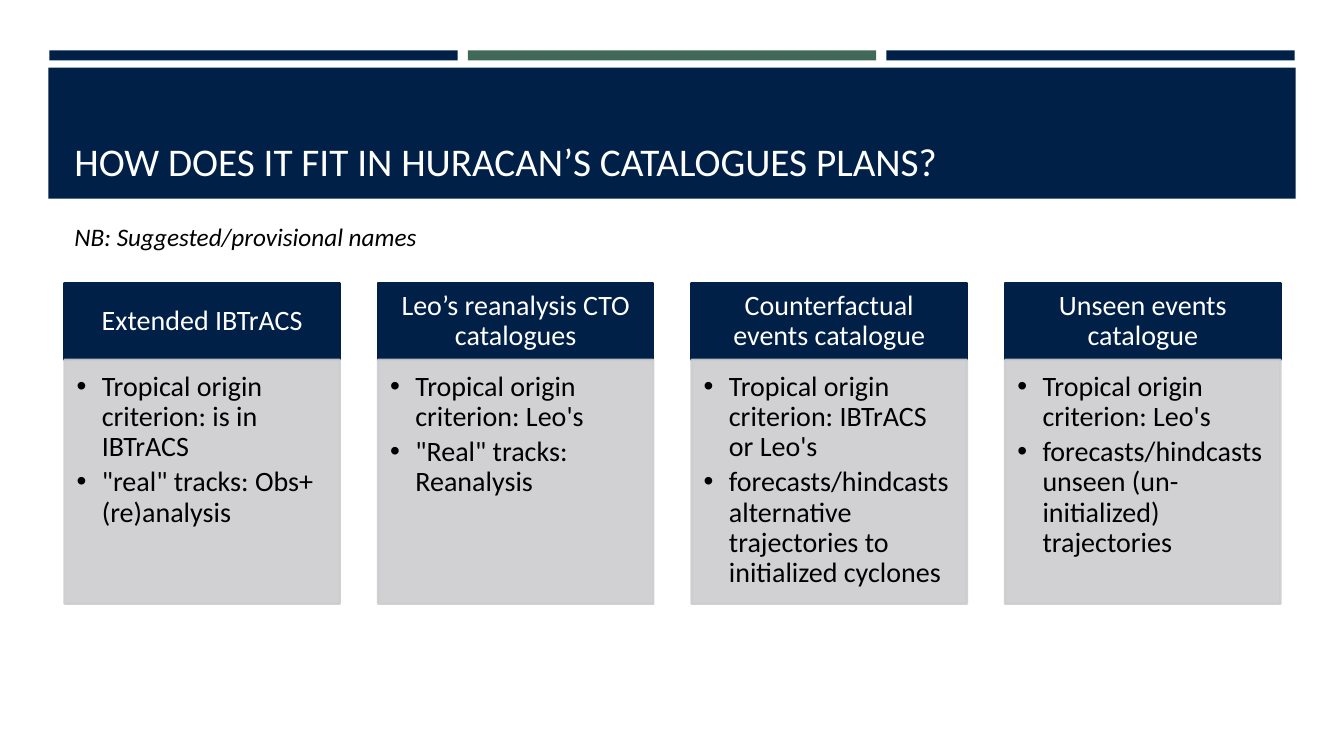
"""Build the slide on how the tracks fit the catalogue plans."""
from dataclasses import dataclass

from lxml.etree import SubElement
from pptx import Presentation
from pptx.dml.color import RGBColor
from pptx.enum.shapes import MSO_SHAPE
from pptx.enum.text import MSO_ANCHOR, PP_ALIGN
from pptx.oxml.ns import qn
from pptx.shapes.autoshape import Shape
from pptx.slide import Slide
from pptx.text.text import _Paragraph
from pptx.util import Inches, Pt


@dataclass(frozen=True)
class Theme:
    """Colours, font and type sizes."""
    navy: str = "002047"
    green: str = "416959"
    grey: str = "CCCDCF"
    white: str = "FFFFFF"
    black: str = "000000"
    font: str = "Calibri"
    title: int = 28
    body: int = 20
    note: int = 18


@dataclass(frozen=True)
class Box:
    """Position and size in inches."""
    x: float
    y: float
    w: float
    h: float


@dataclass(frozen=True)
class Catalogue:
    """A heading with its bullet points."""
    heading: str
    points: tuple[str, ...]


T = Theme()
MARGIN = 0.64
COL_W, COL_STEP = 2.73, 3.11
HEAD_Y, HEAD_H, BODY_H = 2.81, 0.76, 2.42
BAR_X, BAR_W, BAR_STEP = 0.49, 4.05, 4.15
PLAIN_INSETS = (0.1, 0.05, 0.1, 0.05)
HEAD_INSETS = (0.16, 0.09, 0.16, 0.09)
BODY_INSETS = (0.12, 0.12, 0.16, 0.17)

CATALOGUES = (
    Catalogue("Extended IBTrACS", (
        "Tropical origin criterion: is in IBTrACS",
        '"real" tracks: Obs+(re)analysis')),
    Catalogue("Leo’s reanalysis CTO catalogues", (
        "Tropical origin criterion: Leo's",
        '"Real" tracks: Reanalysis')),
    Catalogue("Counterfactual events catalogue", (
        "Tropical origin criterion: IBTrACS or Leo's",
        "forecasts/hindcasts alternative trajectories to initialized cyclones")),
    Catalogue("Unseen events catalogue", (
        "Tropical origin criterion: Leo's",
        "forecasts/hindcasts unseen (un-initialized) trajectories")),
)


def set_attrs(obj: object, fmt: dict) -> None:
    """Set each attribute named in the format values."""
    for name, value in fmt.items():
        setattr(obj, name, value)


def add_rect(s: Slide, box: Box, color: str, outlined: bool = False,
             alpha: int = 100) -> Shape:
    """Draw a filled rectangle, with a matching outline if asked."""
    sp = s.shapes.add_shape(MSO_SHAPE.RECTANGLE, Inches(box.x), Inches(box.y),
                            Inches(box.w), Inches(box.h))
    sp.shadow.inherit = False
    sp.fill.solid()
    sp.fill.fore_color.rgb = RGBColor.from_string(color)
    if outlined:
        sp.line.width = Pt(1.75)
        sp.line.color.rgb = RGBColor.from_string(color)
    else:
        sp.line.fill.background()
    if alpha < 100:
        for clr in sp._element.spPr.iter(qn("a:srgbClr")):
            SubElement(clr, qn("a:alpha"), val=str(alpha * 1000))
    return sp


def add_bullet(p: _Paragraph) -> None:
    """Give a paragraph a hanging bullet."""
    pPr = p._p.get_or_add_pPr()
    pPr.set("marL", str(Inches(0.25)))
    pPr.set("indent", str(Inches(-0.25)))
    SubElement(pPr, qn("a:buFont"), typeface="Arial")
    SubElement(pPr, qn("a:buChar"), char="•")


def write(sp: Shape, lines: tuple[str, ...], size: int, color: str,
          insets: tuple[float, ...] = PLAIN_INSETS,
          anchor: MSO_ANCHOR = MSO_ANCHOR.TOP, para: dict | None = None,
          bullets: bool = False, italic: bool = False) -> None:
    """Fill a shape with formatted paragraphs."""
    tf = sp.text_frame
    left, top, right, bottom = map(Inches, insets)
    set_attrs(tf, {"word_wrap": True, "vertical_anchor": anchor,
                   "margin_left": left, "margin_top": top,
                   "margin_right": right, "margin_bottom": bottom})
    for i, line in enumerate(lines):
        p = tf.add_paragraph() if i else tf.paragraphs[0]
        set_attrs(p, {"alignment": PP_ALIGN.LEFT} | (para or {}))
        if bullets:
            add_bullet(p)
        r = p.add_run()
        r.text = line
        set_attrs(r.font, {"name": T.font, "size": Pt(size), "italic": italic})
        r.font.color.rgb = RGBColor.from_string(color)


def add_text(s: Slide, box: Box, text: str, size: int, color: str,
             anchor: MSO_ANCHOR = MSO_ANCHOR.TOP, italic: bool = False) -> None:
    """Add a single-paragraph text box."""
    sp = s.shapes.add_textbox(Inches(box.x), Inches(box.y),
                              Inches(box.w), Inches(box.h))
    write(sp, (text,), size, color, anchor=anchor, italic=italic)


def add_catalogue(s: Slide, x: float, cat: Catalogue) -> None:
    """Draw one catalogue column."""
    head = add_rect(s, Box(x, HEAD_Y, COL_W, HEAD_H), T.navy, outlined=True)
    write(head, (cat.heading,), T.body, T.white, HEAD_INSETS, MSO_ANCHOR.MIDDLE,
          {"alignment": PP_ALIGN.CENTER, "line_spacing": 0.9})
    body = add_rect(s, Box(x, HEAD_Y + HEAD_H, COL_W, BODY_H), T.grey,
                    outlined=True, alpha=90)
    write(body, cat.points, T.body, T.black, BODY_INSETS,
          para={"line_spacing": 0.9, "space_after": Pt(3.6)}, bullets=True)


def main() -> None:
    """Build and save the presentation."""
    prs = Presentation()
    set_attrs(prs, {"slide_width": Inches(13.33), "slide_height": Inches(7.5)})
    s = prs.slides.add_slide(prs.slide_layouts[6])
    for i, color in enumerate((T.navy, T.green, T.navy)):
        add_rect(s, Box(BAR_X + i * BAR_STEP, 0.5, BAR_W, 0.1), color)
    add_rect(s, Box(0.48, 0.67, 12.37, 1.3), T.navy)
    add_text(s, Box(MARGIN, 0.77, 12.06, 1.11),
             "HOW DOES IT FIT IN HURACAN’S CATALOGUES PLANS?",
             T.title, T.white, MSO_ANCHOR.BOTTOM)
    for i, cat in enumerate(CATALOGUES):
        add_catalogue(s, MARGIN + i * COL_STEP, cat)
    add_text(s, Box(MARGIN, 2.15, 8.61, 0.4), "NB: Suggested/provisional names",
             T.note, T.black, italic=True)
    prs.save("out.pptx")


if __name__ == "__main__":
    main()
